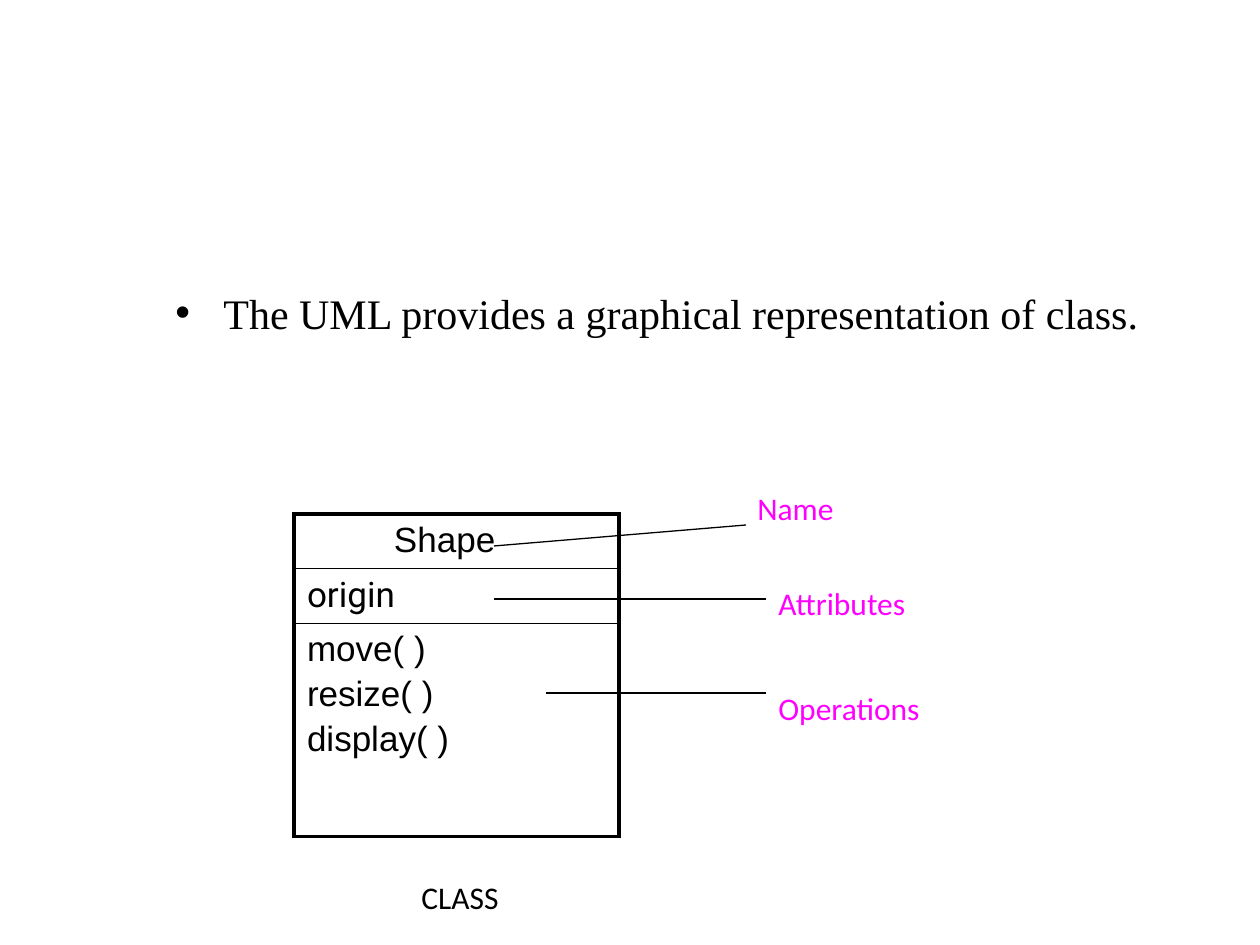
from dataclasses import dataclass

from lxml import etree
from pptx import Presentation
from pptx.dml.color import RGBColor
from pptx.enum.shapes import MSO_CONNECTOR
from pptx.oxml.ns import qn
from pptx.util import Emu, Pt

STRAIGHT = MSO_CONNECTOR.STRAIGHT


@dataclass(frozen=True)
class Theme:
    ink: str = "000000"
    label: str = "FF00FF"
    body_size: int = 24
    class_size: int = 20
    label_size: int = 18
    thick: float = 2.25
    thin: float = 1
    leader: float = 0.75


theme = Theme()


def px(n):
    return Emu(round(n * 914400 / 126))


def style(p, face, size, color):
    p.font.name = face
    p.font.size = Pt(size)
    p.font.color.rgb = RGBColor.from_string(color)


prs = Presentation()
prs.slide_width, prs.slide_height = px(1260), px(945)
s = prs.slides.add_slide(prs.slide_layouts[6])

# Text: x, y, width, height, wording, face, size, colour
texts = [
    (163, 281, 1034, 567, "The UML provides a graphical representation of class.",
     "Times New Roman", theme.body_size, theme.ink),
    (745, 483, 262, 63, "Name", "Calibri", theme.label_size, theme.label),
    (766, 578, 221, 63, "Attributes", "Calibri", theme.label_size, theme.label),
    (766, 683, 231, 63, "Operations", "Calibri", theme.label_size, theme.label),
    (409, 872, 420, 63, "CLASS", "Calibri", theme.label_size, theme.ink),
]
paragraphs = []
for x, y, w, h, words, face, size, color in texts:
    tf = s.shapes.add_textbox(px(x), px(y), px(w), px(h)).text_frame
    tf.word_wrap = True
    p = tf.paragraphs[0]
    p.text = words
    style(p, face, size, color)
    paragraphs.append(p)

# Bullet with a hanging indent on the statement
pPr = paragraphs[0]._p.get_or_add_pPr()
pPr.set("marL", str(px(48)))
pPr.set("indent", str(-px(48)))
bullet_font = etree.Element(qn("a:buFont"), typeface="Arial")
bullet = etree.Element(qn("a:buChar"), char="•")
pPr.insert(0, bullet_font)
bullet_font.addnext(bullet)

# Class box: row height, left margin, face, lines
compartments = [
    (52, 100, "Arial", ["Shape"]),
    (54, 13, "Roboto", ["origin"]),
    (213, 13, "Arial", ["move( )", "resize( )", "display( )"]),
]
last = len(compartments) - 1
frame = s.shapes.add_table(len(compartments), 1, px(294), px(514), px(325), px(319))
table = frame.table
table.first_row = table.horz_banding = False
for i, (height, margin, face, lines) in enumerate(compartments):
    table.rows[i].height = px(height)
    cell = table.cell(i, 0)
    cell.margin_left = px(margin)
    cell.text = "\n".join(lines)
    for p in cell.text_frame.paragraphs:
        p.space_before = Pt(3.5)
        style(p, face, theme.class_size, theme.ink)
    borders = {
        "lnL": theme.thick,
        "lnR": theme.thick,
        "lnT": theme.thick if i == 0 else theme.thin,
        "lnB": theme.thick if i == last else theme.thin,
    }
    tcPr = cell._tc.get_or_add_tcPr()
    for side, width in borders.items():
        ln = etree.SubElement(tcPr, qn(f"a:{side}"), w=str(Pt(width)))
        fill = etree.SubElement(ln, qn("a:solidFill"))
        etree.SubElement(fill, qn("a:srgbClr"), val=theme.ink)
    cell.fill.background()

# Leader lines from the compartments to their labels
leaders = [
    (494, 546, 746, 525),
    (494, 599, 766, 599),
    (546, 693, 766, 693),
]
for x1, y1, x2, y2 in leaders:
    line = s.shapes.add_connector(STRAIGHT, px(x1), px(y1), px(x2), px(y2))
    line.line.color.rgb = RGBColor.from_string(theme.ink)
    line.line.width = Pt(theme.leader)
    etree.SubElement(line._element.spPr, qn("a:effectLst"))

prs.save("out.pptx")
